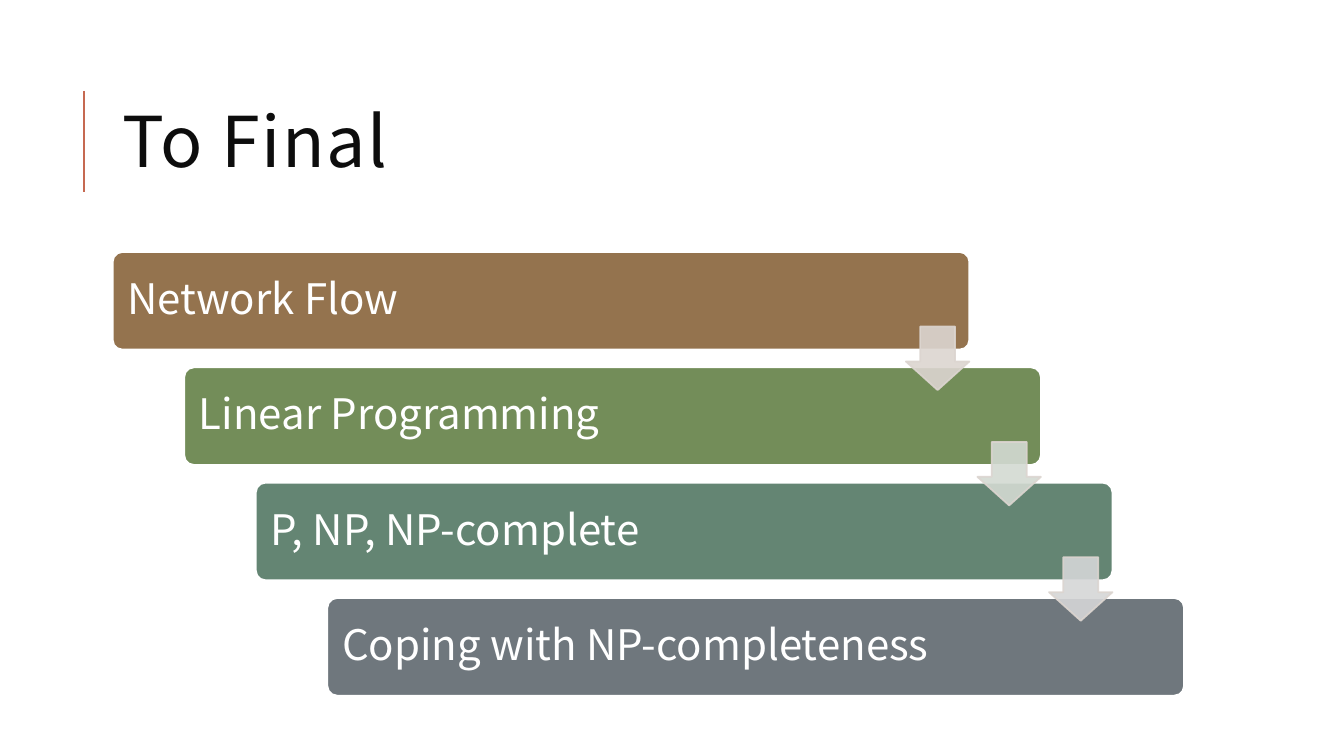
from lxml.etree import SubElement
from pptx import Presentation
from pptx.dml.color import RGBColor
from pptx.enum.shapes import MSO_CONNECTOR as Connector, MSO_SHAPE as Preset
from pptx.enum.text import MSO_ANCHOR as Anchor, MSO_AUTO_SIZE as AutoSize, PP_ALIGN as Align
from pptx.oxml.ns import qn
from pptx.util import Cm, Pt

FONT = "Noto Sans CJK KR"
TOPICS = [
    ("Network Flow", "94734E"),
    ("Linear Programming", "738D59"),
    ("P, NP, NP-complete", "648573"),
    ("Coping with NP-completeness", "6F777D"),
]
ARROW_FILLS = ["DCD5D0", "D3DAD2", "D5D6D7"]
ARROW_LINE = "DCD5D0"


def paint(color, value):
    """Set a colour from a hex string."""
    color.rgb = RGBColor.from_string(value)


def set_text(frame, text, size, color, spacing):
    """Write one left-aligned, vertically centred paragraph and return its run."""
    frame.text = text
    frame.word_wrap = True
    frame.auto_size = AutoSize.NONE
    frame.vertical_anchor = Anchor.MIDDLE
    para = frame.paragraphs[0]
    para.alignment = Align.LEFT
    para.line_spacing = spacing
    span = para.runs[0]
    span.font.name = FONT
    span.font.size = Pt(size)
    paint(span.font.color, color)
    return span


def add_block(page, preset, box, fill, line, adjustments):
    """Add a filled and outlined preset shape in a box given in centimetres."""
    shape = page.shapes.add_shape(preset, *map(Cm, box))
    shape.shadow.inherit = False
    shape.fill.solid()
    paint(shape.fill.fore_color, fill)
    paint(shape.line.color, line)
    shape.line.width = Pt(1.25)
    for index, value in enumerate(adjustments):
        shape.adjustments[index] = value
    return shape


def add_heading(page, box, text):
    """Place the title in its box with an accent rule to its left."""
    left, top, width, height = box
    rule_x = Cm(left - 0.73)
    rule = page.shapes.add_connector(
        Connector.STRAIGHT, rule_x, Cm(top + 0.66), rule_x, Cm(top + 3.2))
    paint(rule.line.color, "C66951")
    rule.line.width = Pt(1.5)
    SubElement(rule._element.spPr, qn("a:effectLst"))

    title = page.shapes.title
    title.left, title.top, title.width, title.height = map(Cm, box)
    span = set_text(title.text_frame, text, 50, "0D0D0D", 0.8)
    span.font._element.set("spc", "100")


def add_bar(page, box, text, fill):
    """Add one rounded topic bar."""
    bar = add_block(page, Preset.ROUNDED_RECTANGLE, box, fill, "FFFFFF", [0.1])
    frame = bar.text_frame
    frame.margin_left = frame.margin_right = Cm(0.3)
    set_text(frame, text, 30, "FFFFFF", 0.9)


def add_arrow(page, box, fill):
    """Add one slightly transparent down arrow."""
    arrow = add_block(page, Preset.DOWN_ARROW, box, fill, ARROW_LINE, [0.55, 0.45])
    for color in arrow._element.spPr.iter(qn("a:srgbClr")):
        SubElement(color, qn("a:alpha"), val="90000")


def add_staircase(page, box):
    """Step the topic bars down the box and link them with arrows."""
    left, top, width, height = box
    bar_width, bar_height, arrow_size = 21.59, 2.46, 1.6
    steps = len(TOPICS) - 1
    step_x = (width - bar_width) / steps
    step_y = (height - bar_height) / steps
    for index, (text, fill) in enumerate(TOPICS):
        place = (left + index * step_x, top + index * step_y)
        add_bar(page, (*place, bar_width, bar_height), text, fill)
    for index, fill in enumerate(ARROW_FILLS):
        place = (left + index * step_x + bar_width - arrow_size,
                 top + index * step_y + 1.88)
        add_arrow(page, (*place, arrow_size, arrow_size), fill)


def main():
    """Build the deck and save it."""
    deck = Presentation()
    deck.slide_width, deck.slide_height = Cm(33.87), Cm(19.05)
    page = deck.slides.add_slide(deck.slide_layouts[5])
    add_heading(page, (2.84, 1.63, 27, 4.17), "To Final")
    add_staircase(page, (2.84, 6.35, 27, 11.18))
    deck.save("out.pptx")


if __name__ == "__main__":
    main()
